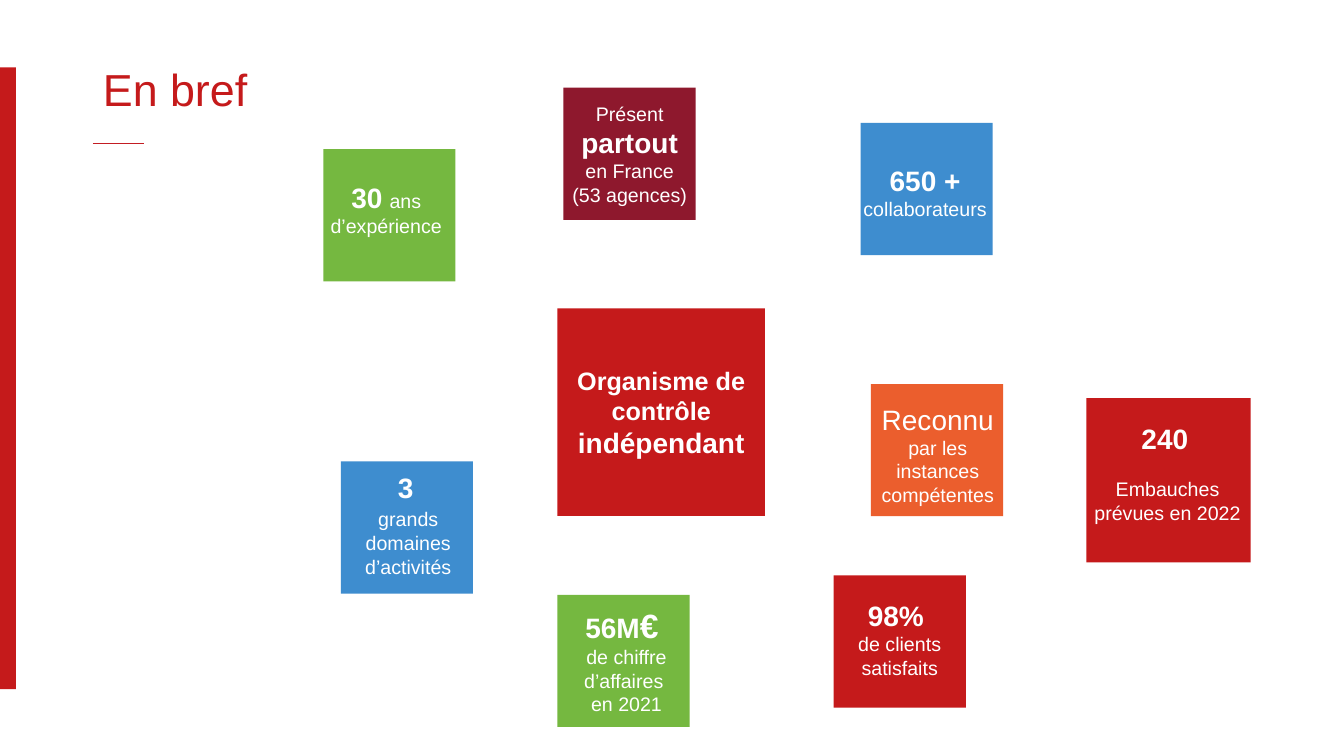
from pptx import Presentation
from pptx.dml.color import RGBColor
from pptx.enum.shapes import MSO_CONNECTOR, MSO_SHAPE
from pptx.enum.text import MSO_ANCHOR, MSO_AUTO_SIZE, PP_ALIGN
from pptx.oxml.ns import qn
from pptx.util import Cm, Pt
from lxml import etree

RECTANGLE = MSO_SHAPE.RECTANGLE
STRAIGHT = MSO_CONNECTOR.STRAIGHT
MIDDLE = MSO_ANCHOR.MIDDLE
GROW = MSO_AUTO_SIZE.SHAPE_TO_FIT_TEXT
LEFT, CENTER = PP_ALIGN.LEFT, PP_ALIGN.CENTER

FONT = "Arial"
COLORS = {
    "red": "C51A1B", "rule": "C31D23", "blue": "3E8DCF", "orange": "EB5E2D",
    "green": "75B840", "burgundy": "8E182D", "white": "FFFFFF",
}
SMALL_TILE, HIRING_TILE, CORE_TILE = 3.33, 4.14, 5.23

# Each fact: colour, tile (left, top, side), text offset and size, paragraphs of runs.
FACTS = [
    ("blue", (8.59, 11.63, SMALL_TILE), (0.1, 0.1, 3.2, 3),
     [[("3", 20, True), (" ", 14, False)],
      [("grands", 14, False), (" ", 16, False), ("domaines d’activités", 14, False)]]),
    ("orange", (21.95, 9.68, SMALL_TILE), (-0.13, 0.33, 3.63, 2.9),
     [[("Reconnu", 20, False), (" par les instances compétentes", 14, False)]]),
    ("green", (8.15, 3.76, SMALL_TILE), (-0.46, 0.66, 4.09, 1.7),
     [[("30", 20, True), (" ", 18, True), ("ans d’expérience", 14, False)]]),
    ("red", (21.01, 14.5, SMALL_TILE), (0.18, 0.46, 2.97, 2.31),
     [[("98% ", 20, True)], [("de clients satisfaits", 14, False)]]),
    ("blue", (21.69, 3.1, SMALL_TILE), (-0.51, 0.89, 4.27, 1.7),
     [[("650 +", 20, True), (" ", 18, True), ("collaborateurs", 14, False)]]),
    ("burgundy", (14.2, 2.21, SMALL_TILE), (-0.03, 0.23, 3.4, 2.9),
     [[("Présent ", 14, False), ("partout", 20, True), (" ", 18, True),
       ("en France", 14, False)],
      [("(53 agences)", 14, False)]]),
    ("green", (14.05, 14.99, SMALL_TILE), (0.15, 0.13, 3.18, 3.07),
     [[("56M", 20, True), ("€ ", 24, True)],
      [("de chiffre d’affaires ", 14, False)],
      [("en 2021", 14, False)]]),
    ("red", (14.05, 7.77, CORE_TILE), (0, 1.3, CORE_TILE, 2.64),
     [[("Organisme de contrôle ", 18, True), ("indépendant", 20, True)]]),
    ("red", (27.38, 10.03, HIRING_TILE), (-0.15, 0.46, 4.39, 2.9),
     [[("240", 20, True), (" ", 14, False)],
      [("Embauches prévues en 2022", 14, False)]], 16),
]


def color(name):
    """Return the named colour of the palette."""
    return RGBColor.from_string(COLORS[name])


def add_block(slide, left, top, width, height, fill):
    """Draw a plain filled rectangle."""
    block = slide.shapes.add_shape(RECTANGLE, Cm(left), Cm(top), Cm(width), Cm(height))
    block.shadow.inherit = False
    block.fill.solid()
    block.fill.fore_color.rgb = color(fill)
    block.line.fill.background()


def add_run(paragraph, text, size, bold, ink):
    """Append one formatted run to a paragraph."""
    run = paragraph.add_run()
    run.text = text
    run.font.name = FONT
    run.font.size = Pt(size)
    run.font.bold = bold
    run.font.color.rgb = color(ink)


def add_fact(slide, fill, tile, caption_box, paragraphs, gap=0):
    """Draw a coloured tile and its centred caption, with a gap between paragraphs."""
    left, top, side = tile
    add_block(slide, left, top, side, side, fill)
    dx, dy, width, height = caption_box
    caption = slide.shapes.add_textbox(
        Cm(left + dx), Cm(top + dy), Cm(width), Cm(height)).text_frame
    caption.word_wrap = True
    caption.auto_size = GROW
    for index, runs in enumerate(paragraphs):
        paragraph = caption.add_paragraph() if index else caption.paragraphs[0]
        paragraph.alignment = CENTER
        if index and gap:
            paragraph.space_before = Pt(gap)
        for text, size, bold in runs:
            add_run(paragraph, text, size, bold, "white")


def add_header(slide, left, top, width, height):
    """Place the title with a short rule under its left end."""
    heading = slide.shapes.title
    heading.left, heading.top = Cm(left), Cm(top)
    heading.width, heading.height = Cm(width), Cm(height)
    heading.text_frame.vertical_anchor = MIDDLE
    paragraph = heading.text_frame.paragraphs[0]
    paragraph.alignment = LEFT
    paragraph.line_spacing = 0.9
    add_run(paragraph, "En bref", 32, False, "red")
    bottom = Cm(top + height)
    rule = slide.shapes.add_connector(STRAIGHT, Cm(left), bottom, Cm(left + 1.3), bottom)
    rule.line.color.rgb = color("rule")
    rule.line.width = Pt(0.5)
    etree.SubElement(rule._element.spPr, qn("a:effectLst"))


def main():
    """Build and save the slide."""
    deck = Presentation()
    deck.slide_width, deck.slide_height = Cm(33.87), Cm(19.05)
    slide = deck.slides.add_slide(deck.slide_layouts[5])
    add_block(slide, 0, 1.7, 0.4, 15.67, "red")
    add_header(slide, 2.34, 1.02, 29.21, 2.59)
    for fact in FACTS:
        add_fact(slide, *fact)
    deck.save("out.pptx")


if __name__ == "__main__":
    main()
